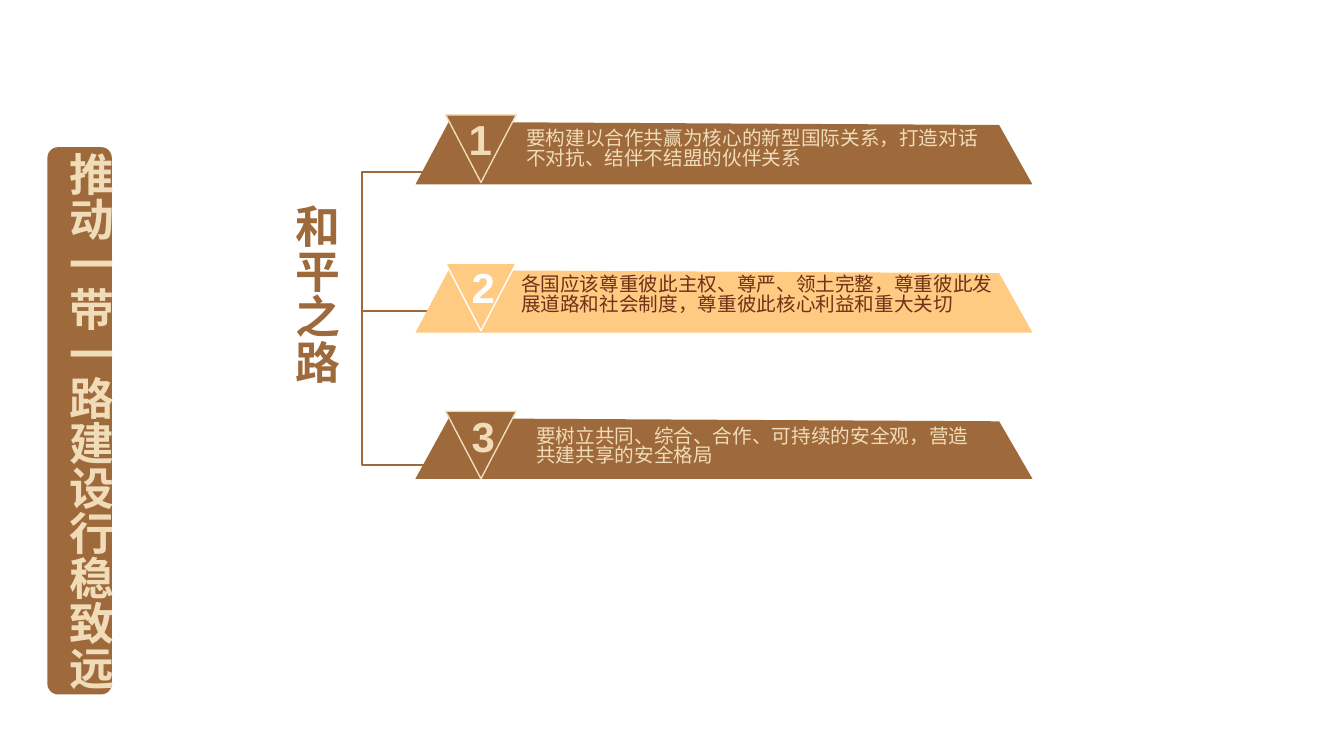
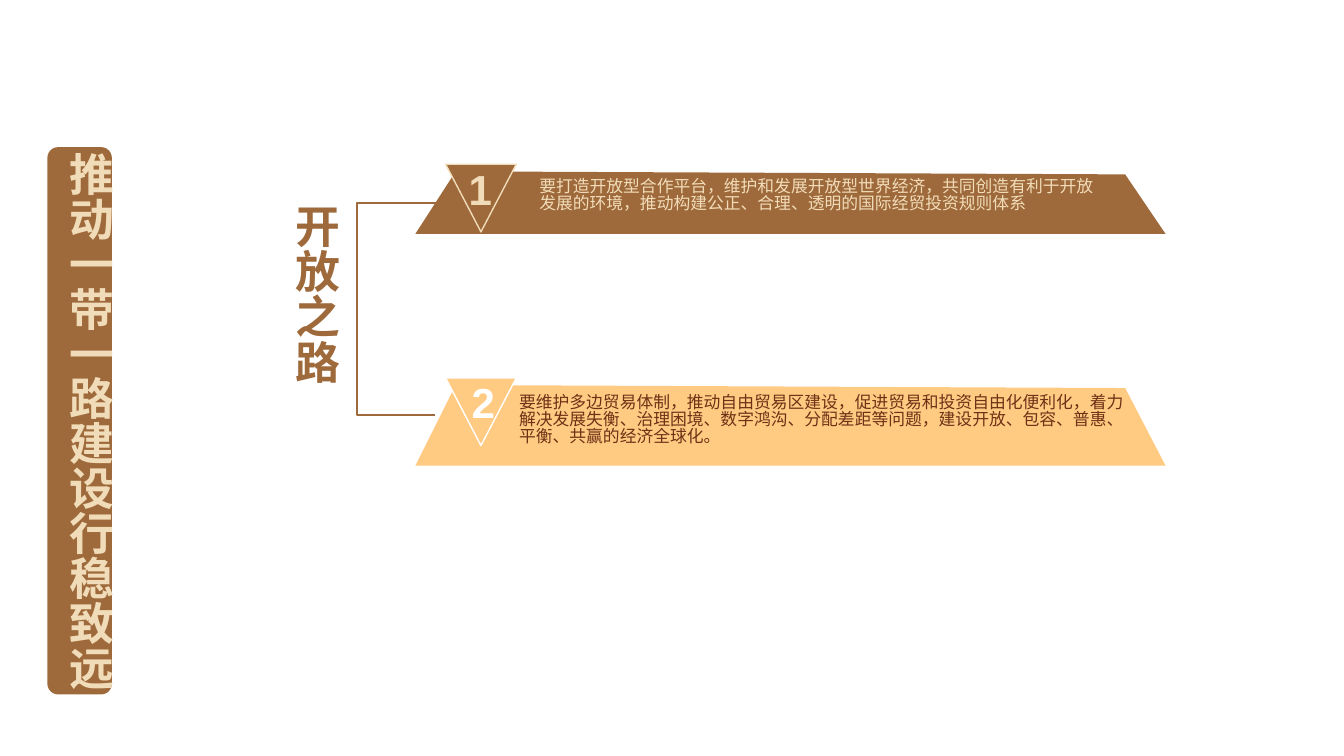
from pptx import Presentation
from pptx import util as u
from pptx.dml.color import RGBColor
from pptx.enum import shapes, text
from pptx.oxml.ns import qn
from lxml import etree

BROWN = RGBColor(0x9F, 0x6A, 0x3B)
CREAM = RGBColor(0xF1, 0xDC, 0xB9)
AMBER = RGBColor(0xFF, 0xCA, 0x82)
RUST = RGBColor(0x70, 0x31, 0x16)
WHITE = RGBColor(0xFF, 0xFF, 0xFF)

CJK, LATIN = "Noto Sans CJK SC", "Arial"
EMU_PER_PX = 9144  # 100 px to the inch
BAND_LEFT = 412
TITLE = "推动一带一路建设行稳致远"


def px(*lengths):
    return [u.Emu(n * EMU_PER_PX) for n in lengths]


class Deck:
    def __init__(self):
        self.prs = Presentation()
        self.prs.slide_width, self.prs.slide_height = px(1333, 750)
        self.s = None

    # Shared style
    def paint(self, sp, fill=None, line=None, width=1):
        sp.shadow.inherit = False
        if fill is None:
            sp.fill.background()
        else:
            sp.fill.solid()
            sp.fill.fore_color.rgb = fill
        if line is None:
            sp.line.fill.background()
        else:
            sp.line.color.rgb = line
            sp.line.width = u.Pt(width)

    def set_text(self, sp, words, size, color, font=CJK, bold=False):
        tf = sp.text_frame
        tf.text = words
        tf.word_wrap = True
        tf.auto_size = text.MSO_AUTO_SIZE.NONE
        tf.vertical_anchor = text.MSO_ANCHOR.TOP
        p = tf.paragraphs[0]
        r = p.runs[0]
        r.font.name, r.font.size, r.font.bold = font, u.Pt(size), bold
        r.font.color.rgb = color
        if font == CJK:
            p.line_spacing = 0.84
            ea = etree.SubElement(r.font._element, qn("a:ea"))
            ea.set("typeface", font)
        return tf

    # Elements
    def slide(self, heading):
        self.s = self.prs.slides.add_slide(self.prs.slide_layouts[5])
        bar = self.s.shapes.add_shape(
            shapes.MSO_SHAPE.ROUNDED_RECTANGLE, *px(47, 146, 64, 543))
        self.paint(bar, BROWN)
        self.title()
        self.label(heading, (283, 201, 77, 226), 32, BROWN, bold=True)

    def title(self):
        sp = self.s.shapes.title
        sp.left, sp.top, sp.width, sp.height = px(44, 146, 74, 549)
        tf = self.set_text(sp, TITLE, 32, CREAM, bold=True)
        tf.word_wrap = False
        tf.paragraphs[0].alignment = text.PP_ALIGN.JUSTIFY
        tf._txBody.find(qn("a:bodyPr")).set("vert", "eaVert")
        self.s.shapes.element.append(sp.element)  # in front of the bar

    def label(self, words, box, size, color, **style):
        sp = self.s.shapes.add_textbox(*px(*box))
        self.set_text(sp, words, size, color, **style)

    def outline(self, points, close):
        start, *rest = [tuple(px(*point)) for point in points]
        builder = self.s.shapes.build_freeform(*start, scale=1.0)
        builder.add_line_segments(rest, close=close)
        return builder.convert_to_shape()

    def bracket(self, x, top, bottom):
        sp = self.outline([(x + 77, bottom), (x, bottom), (x, top),
                           (x + 80, top)], close=False)
        self.paint(sp, line=BROWN, width=1.5)

    def branch(self, x1, x2, y):
        line = self.s.shapes.add_connector(
            shapes.MSO_CONNECTOR.STRAIGHT, *px(x1, y, x2, y))
        line.line.color.rgb = BROWN
        line.line.width = u.Pt(1.5)
        etree.SubElement(line.element.spPr, qn("a:effectLst"))

    def band(self, number, words, top, height, right, slant, box, size):
        if number % 2:
            fill, ink, accent = BROWN, CREAM, CREAM
        else:
            fill, ink, accent = AMBER, RUST, WHITE
        bottom = top + height
        sp = self.outline([(BAND_LEFT + slant, top), (right - slant, top + 3),
                           (right, bottom), (BAND_LEFT, bottom)], close=True)
        self.paint(sp, fill)
        self.label(words, box, size, ink)
        # Number marker
        marker = self.s.shapes.add_shape(
            shapes.MSO_SHAPE.ISOSCELES_TRIANGLE, *px(442, top - 7, 70, 67))
        marker.rotation = 180
        self.paint(marker, fill, accent)
        number_left = 455 if number == 1 else 458
        self.label(str(number), (number_left, top - 13, 44, 61), 30, accent,
                   font=LATIN, bold=True)

    def bands(self, rows, right, slant, size):
        for number, (words, top, height, box) in enumerate(rows, 1):
            self.band(number, words, top, height, right, slant, box, size)


def main():
    deck = Deck()

    # Road of peace
    deck.slide("和平之路")
    deck.bracket(359, 171, 461)
    deck.branch(359, 430, 309)
    deck.bands([
        ("要构建以合作共赢为核心的新型国际关系，打造对话不对抗、结伴不结盟的伙伴关系",
         121, 62, (512, 124, 470, 57)),
        ("各国应该尊重彼此主权、尊严、领土完整，尊重彼此发展道路和社会制度，"
         "尊重彼此核心利益和重大关切",
         268, 62, (507, 269, 497, 57)),
        ("要树立共同、综合、合作、可持续的安全观，营造共建共享的安全格局",
         415, 60, (522, 419, 465, 57)),
    ], right=1024, slant=33, size=14)

    # Road of openness
    deck.slide("开放之路")
    deck.bracket(354, 201, 412)
    deck.bands([
        ("要打造开放型合作平台，维护和发展开放型世界经济，共同创造有利于开放"
         "发展的环境，推动构建公正、合理、透明的国际经贸投资规则体系",
         170, 62, (525, 173, 572, 50)),
        ("要维护多边贸易体制，推动自由贸易区建设，促进贸易和投资自由化便利化，"
         "着力解决发展失衡、治理困境、数字鸿沟、分配差距等问题，"
         "建设开放、包容、普惠、平衡、共赢的经济全球化。",
         382, 80, (505, 387, 630, 95)),
    ], right=1156, slant=40, size=12)

    deck.prs.save("out.pptx")


if __name__ == "__main__":
    main()
